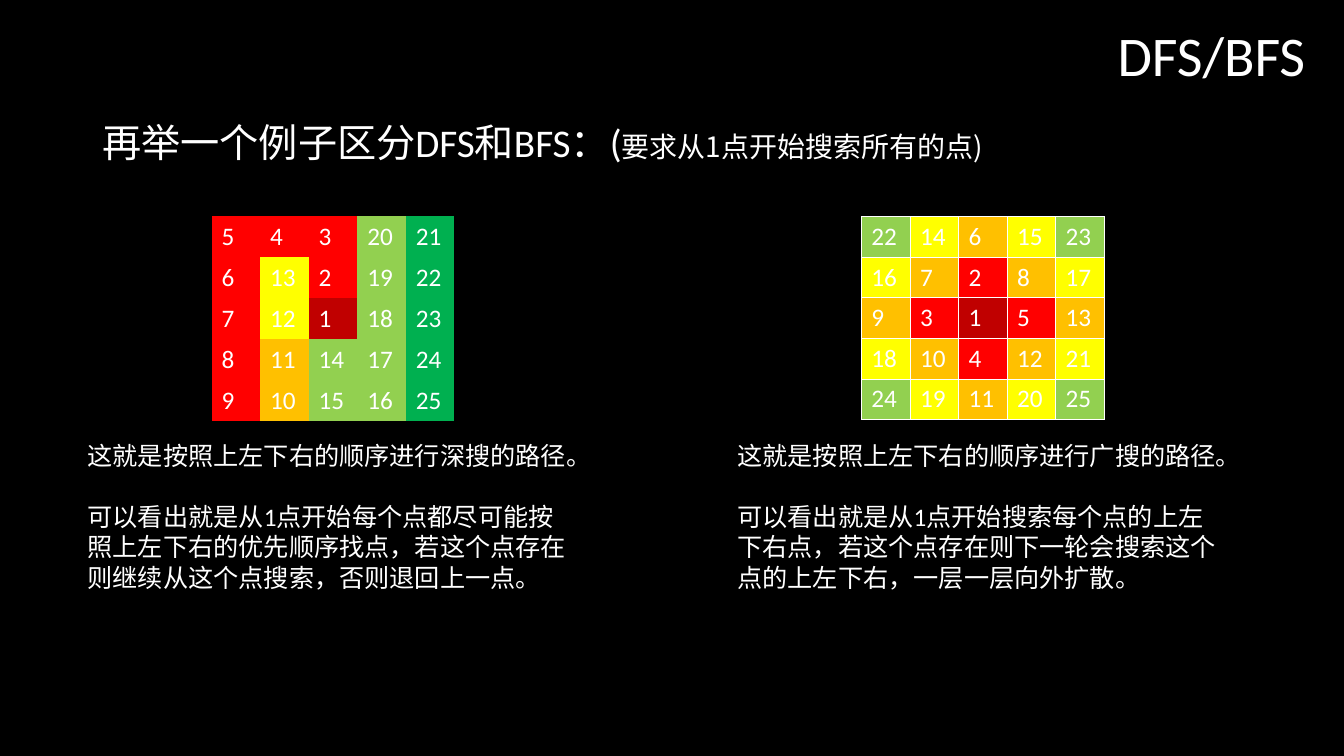
from dataclasses import dataclass

import pptx
import pptx.dml.color
import pptx.enum.text
import pptx.oxml.ns
import pptx.util
from lxml import etree

Pt = pptx.util.Pt
RGB = pptx.dml.color.RGBColor.from_string
MIDDLE = pptx.enum.text.MSO_ANCHOR.MIDDLE
qn = pptx.oxml.ns.qn


@dataclass(frozen=True)
class Theme:
    background: str = "000000"
    text: str = "FFFFFF"
    start: str = "C00000"
    red: str = "FF0000"
    orange: str = "FFC000"
    yellow: str = "FFFF00"
    lime: str = "92D050"
    green: str = "00B050"
    latin: str = "Calibri"
    cjk: str = "Noto Sans CJK SC"
    title: int = 40
    heading: int = 28
    remark: int = 20
    body: int = 18


T = Theme()


def add_run(p, text, size, latin=T.latin):
    r = p.add_run()
    r.text = text
    r.font.size = Pt(size)
    r.font.name = latin
    r.font.color.rgb = RGB(T.text)
    etree.SubElement(r.font._element, qn("a:ea"), typeface=T.cjk)


def set_borders(cell, color):
    tcPr = cell._tc.get_or_add_tcPr()
    for side in ("a:lnL", "a:lnR", "a:lnT", "a:lnB"):
        ln = etree.SubElement(tcPr, qn(side), w=str(Pt(0.45)))
        if color:
            fill = etree.SubElement(ln, qn("a:solidFill"))
            etree.SubElement(fill, qn("a:srgbClr"), val=color)
        else:
            etree.SubElement(ln, qn("a:noFill"))


prs = pptx.Presentation()
prs.slide_width, prs.slide_height = Pt(960.5), Pt(540)
s = prs.slides.add_slide(prs.slide_layouts[1])
s.background.fill.solid()
s.background.fill.fore_color.rgb = RGB(T.background)

# Title
sp = s.shapes.title
sp.left, sp.top, sp.width, sp.height = Pt(66), Pt(16.5), Pt(874), Pt(50)
tf = sp.text_frame
tf.auto_size = pptx.enum.text.MSO_AUTO_SIZE.NONE
tf.vertical_anchor = MIDDLE
p = tf.paragraphs[0]
p.alignment = pptx.enum.text.PP_ALIGN.RIGHT
p.line_spacing = 0.9
add_run(p, "DFS/BFS", T.title)

# Heading line
sp = s.placeholders[1]
sp.left, sp.top, sp.width, sp.height = Pt(66), Pt(85), Pt(828), Pt(230)
tf = sp.text_frame
tf.auto_size = pptx.enum.text.MSO_AUTO_SIZE.NONE
p = tf.paragraphs[0]
p.line_spacing = 0.9
p.space_before = Pt(0)
pPr = p._p.get_or_add_pPr()
pPr.set("marL", "0")
pPr.set("indent", "0")
etree.SubElement(pPr, qn("a:buNone"))
add_run(p, "再举一个例子区分DFS和BFS：(", T.heading)
add_run(p, "要求从1点开始搜索所有的点)", T.remark, T.cjk)

# Each search: visiting order, (last step, colour) bands, borders, explanation
searches = [
    ([[5, 4, 3, 20, 21],
      [6, 13, 2, 19, 22],
      [7, 12, 1, 18, 23],
      [8, 11, 14, 17, 24],
      [9, 10, 15, 16, 25]],
     [(1, T.start), (9, T.red), (11, T.orange), (13, T.yellow), (20, T.lime), (25, T.green)],
     None,
     ["这就是按照上左下右的顺序进行深搜的路径。",
      "可以看出就是从1点开始每个点都尽可能按照上左下右的优先顺序找点，若这个点存在则继续从这个点搜索，否则退回上一点。"]),
    ([[22, 14, 6, 15, 23],
      [16, 7, 2, 8, 17],
      [9, 3, 1, 5, 13],
      [18, 10, 4, 12, 21],
      [24, 19, 11, 20, 25]],
     [(1, T.start), (5, T.red), (13, T.orange), (21, T.yellow), (25, T.lime)],
     T.text,
     ["这就是按照上左下右的顺序进行广搜的路径。",
      "可以看出就是从1点开始搜索每个点的上左下右点，若这个点存在则下一轮会搜索这个点的上左下右，一层一层向外扩散。"]),
]

for i, (order, bands, border, notes) in enumerate(searches):
    left = 55.5 + 464.4 * i

    # Grid of visited points
    table = s.shapes.add_table(5, 5, Pt(left + 95.7), Pt(154.6), Pt(173.5), Pt(145)).table
    table.first_row = False
    table.horz_banding = False
    for col in table.columns:
        col.width = Pt(34.7)
    for y, row in enumerate(order):
        table.rows[y].height = Pt(29)
        for x, step in enumerate(row):
            cell = table.cell(y, x)
            set_borders(cell, border)
            cell.fill.solid()
            cell.fill.fore_color.rgb = RGB(next(c for last, c in bands if step <= last))
            cell.vertical_anchor = MIDDLE
            add_run(cell.text_frame.paragraphs[0], str(step), T.body)

    # Explanation below the grid
    sp = s.shapes.add_textbox(Pt(left), Pt(311), Pt(365), Pt(115))
    tf = sp.text_frame
    tf.word_wrap = True
    tf.auto_size = pptx.enum.text.MSO_AUTO_SIZE.SHAPE_TO_FIT_TEXT
    add_run(tf.paragraphs[0], notes[0], T.body, T.cjk)
    p = tf.add_paragraph()
    p.space_before = Pt(22)
    add_run(p, notes[1], T.body)

prs.save("out.pptx")
